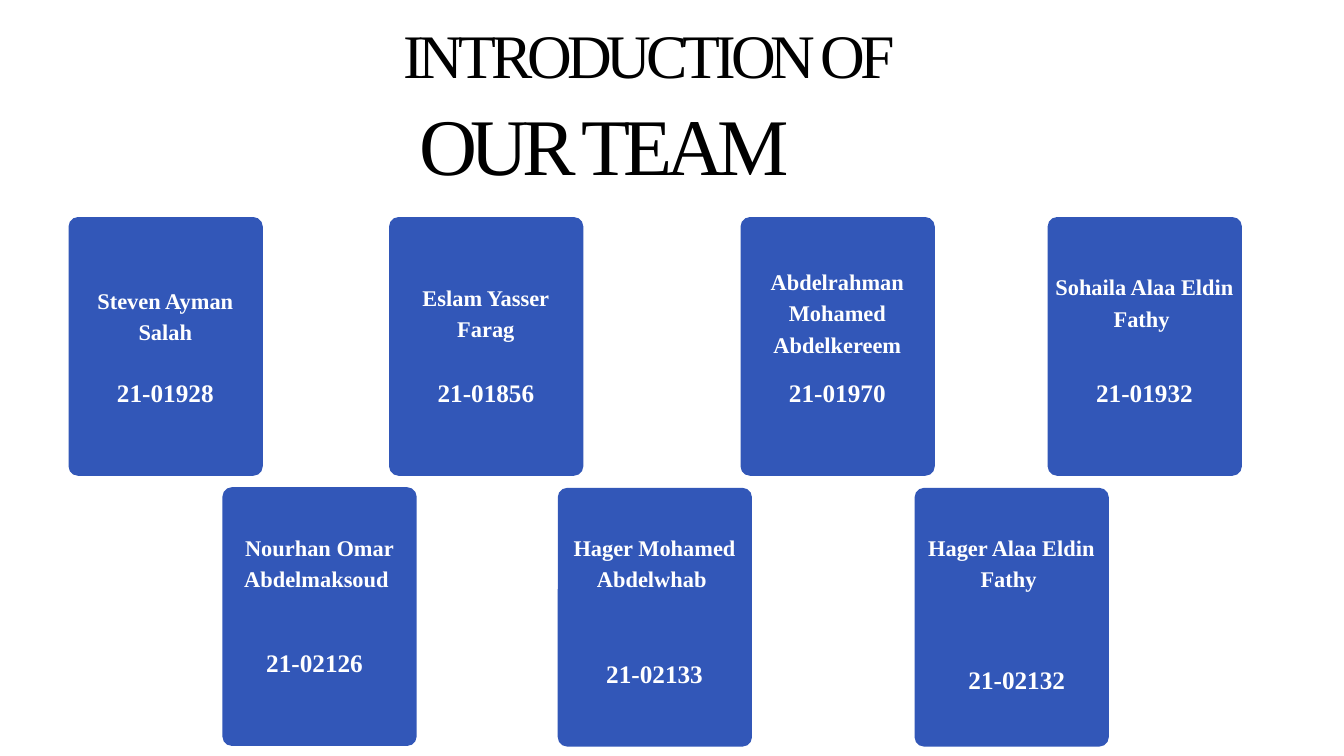
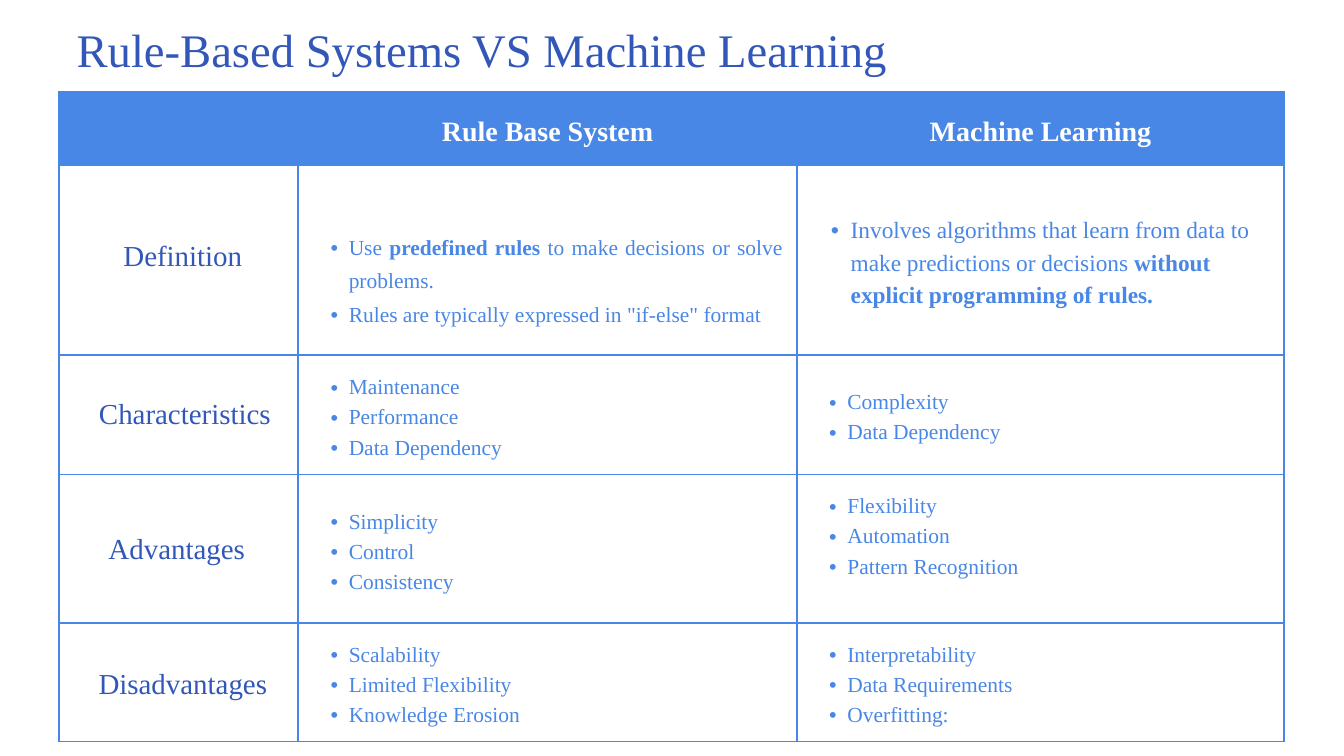
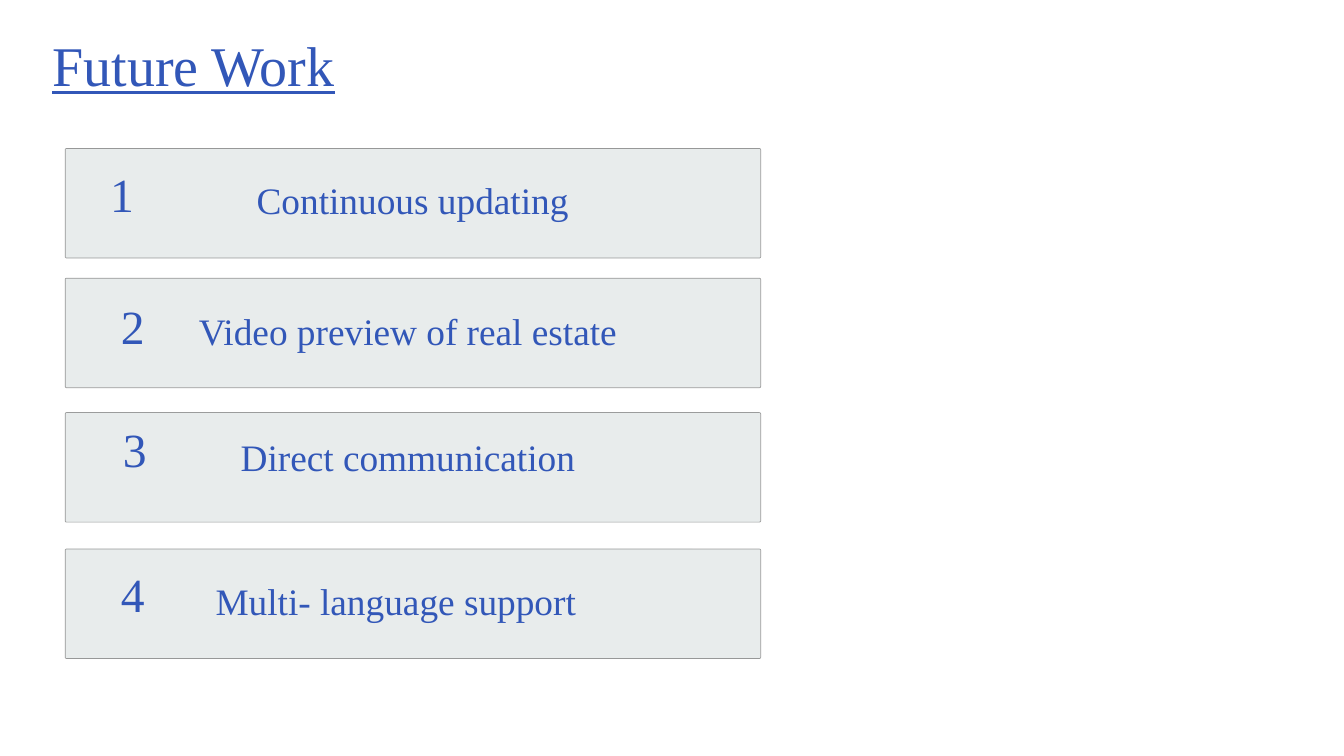
from lxml import etree
from pptx import Presentation
from pptx import util as u
from pptx.dml.color import RGBColor
from pptx.enum import shapes, text
from pptx.oxml import ns

SLIDE_WIDTH, SLIDE_HEIGHT = u.Inches(20), u.Inches(11.25)
COLUMN = SLIDE_WIDTH / 20
ROW = SLIDE_HEIGHT / 11.25
FONT = "Times New Roman"
COLORS = {
    "black": "000000",
    "white": "FFFFFF",
    "blue": "3257B8",
    "light_blue": "4987E6",
    "bar": "CDD7D6",
    "bar_line": "303030",
}
CENTER, LEFT, JUSTIFY = text.PP_ALIGN.CENTER, text.PP_ALIGN.LEFT, text.PP_ALIGN.JUSTIFY

CARD_WIDTH, CARD_HEIGHT = 2.89, 3.85
# Card left and top, name lines, name offset down, number, number offset right and down
TEAM = [
    (1.02, 3.23, ["Steven Ayman Salah"], 0.97, "21-01928", 0.11, 2.31),
    (5.79, 3.23, ["Eslam Yasser", "Farag"], 0.93, "21-01856", 0.11, 2.31),
    (11.02, 3.23, ["Abdelrahman Mohamed Abdelkereem"], 0.69, "21-01970", 0.11, 2.31),
    (15.59, 3.23, ["Sohaila Alaa Eldin Fathy "], 0.77, "21-01932", 0.11, 2.31),
    (3.31, 7.25, ["Nourhan Omar Abdelmaksoud "], 0.63, "21-02126", 0.04, 2.31),
    (8.3, 7.26, ["Hager Mohamed", "Abdelwhab "], 0.62, "21-02133", 0.11, 2.46),
    (13.61, 7.26, ["Hager Alaa Eldin Fathy "], 0.62, "21-02132", 0.19, 2.55),
]

TABLE_COLUMNS = [3.56, 7.42, 7.25]
TABLE_ROWS = [1.08, 2.83, 1.78, 2.21, 1.68]
CELL_MARGIN = 0.21
HEADERS = ["", "Rule Base System", "Machine Learning"]
DEFINITIONS = [
    [
        [("Use ", False), ("predefined rules", True),
         (" to make decisions or solve problems.", False)],
        'Rules are typically expressed in "if-else" format',
    ],
    [
        [("Involves algorithms that learn from data to make predictions or decisions ", False),
         ("without explicit programming of rules.", True)],
    ],
]
COMPARISONS = [
    (["Maintenance", "Performance", "Data Dependency"],
     ["Complexity", "Data Dependency"]),
    (["Simplicity", "Control", "Consistency"],
     ["Flexibility", "Automation", "Pattern Recognition"]),
    (["Scalability", "Limited Flexibility", "Knowledge Erosion"],
     ["Interpretability", "Data Requirements", "Overfitting:"]),
]
ROW_LABELS = [
    ("Definition", 1.77, 3.51, 1.9),
    ("Characteristics", 1.39, 5.86, 2.72),
    ("Advantages", 1.56, 7.88, 2.14),
    ("Disadvantages", 1.39, 9.89, 2.66),
]

# Bar top, number offset right and down, wording, wording left and offset down
FUTURE_STEPS = [
    (2.21, 0.22, 0.37, " Continuous updating", 2.14, 0.32),
    (4.14, 0.38, 0.41, "Video preview of real estate ", 2.21, 0.33),
    (6.14, 0.41, 0.24, " Direct communication ", 2.14, 0.21),
    (8.17, 0.38, 0.37, "Multi- language support", 1.96, 0.32),
]


def color(name):
    return RGBColor.from_string(COLORS[name])


def grid(left, top, width, height):
    """Turn columns and rows into slide lengths."""
    return [round(value * unit) for value, unit in
            zip((left, top, width, height), (COLUMN, ROW, COLUMN, ROW))]


def add_bullet(paragraph, indent):
    paragraph.level = 1
    properties = paragraph._p.get_or_add_pPr()
    properties.set("marL", str(u.Inches(indent)))
    properties.set("indent", str(-u.Inches(indent / 2)))
    etree.SubElement(properties, ns.qn("a:buFont"), typeface="Arial")
    etree.SubElement(properties, ns.qn("a:buChar"), char="•")


def write_text(frame, paragraphs, size, line, fill="blue", bold=False, underline=None,
               align=CENTER, tracking=None, bullet_indent=None):
    """Fill a frame; a paragraph is a string or a list of (text, bold) runs."""
    for index, content in enumerate(paragraphs):
        paragraph = frame.add_paragraph() if index else frame.paragraphs[0]
        if bullet_indent:
            add_bullet(paragraph, bullet_indent)
        paragraph.alignment = align
        paragraph.line_spacing = u.Pt(line)
        for words, is_bold in [(content, bold)] if isinstance(content, str) else content:
            run = paragraph.add_run()
            run.text = words
            font = run.font
            font.name, font.size, font.bold = FONT, u.Pt(size), is_bold
            font.underline = underline
            font.color.rgb = color(fill)
            if tracking:
                run._r.get_or_add_rPr().set("spc", str(round(tracking * 100)))


def format_frame(frame):
    frame.margin_left = frame.margin_right = frame.margin_top = frame.margin_bottom = 0
    frame.vertical_anchor = text.MSO_ANCHOR.TOP
    frame.word_wrap = True
    frame.auto_size = text.MSO_AUTO_SIZE.SHAPE_TO_FIT_TEXT


def add_text(container, place, paragraphs, **style):
    frame = container.add_textbox(*grid(*place)).text_frame
    format_frame(frame)
    write_text(frame, paragraphs, **style)


def add_titled_slide(presentation, title, place, **style):
    slide = presentation.slides.add_slide(presentation.slide_layouts[5])
    shape = slide.shapes.title
    shape.left, shape.top, shape.width, shape.height = grid(*place)
    format_frame(shape.text_frame)
    write_text(shape.text_frame, [title], **style)
    return slide


def add_rounded(container, place, fill, radius, line=None, opacity=None):
    shape = container.add_shape(shapes.MSO_SHAPE.ROUNDED_RECTANGLE, *grid(*place))
    shape.adjustments[0] = radius / min(place[2:])
    shape.shadow.inherit = False
    shape.fill.solid()
    shape.fill.fore_color.rgb = color(fill)
    if line:
        shape.line.color.rgb = color(line)
        shape.line.width = u.Pt(0.75)
    else:
        shape.line.fill.background()
    if opacity:
        for element in shape._element.spPr.iter(ns.qn("a:srgbClr")):
            etree.SubElement(element, ns.qn("a:alpha"), val=str(opacity * 1000))


def add_card(slide, left, top, name, name_down, number, number_right, number_down):
    card = slide.shapes.add_group_shape().shapes
    add_rounded(card, (left, top, CARD_WIDTH, CARD_HEIGHT), "blue", 0.14)
    add_text(card, (left + 0.11, top + name_down, 2.66, 1.39), name,
             size=24, line=33.6, fill="white", bold=True)
    add_text(card, (left + number_right, top + number_down, 2.66, 0.53), [number],
             size=27, line=37.8, fill="white", bold=True)


def format_cell(cell, fill=None):
    cell.vertical_anchor = text.MSO_ANCHOR.MIDDLE
    cell.margin_left = cell.margin_right = u.Inches(CELL_MARGIN)
    cell.margin_top = cell.margin_bottom = u.Inches(CELL_MARGIN)
    if fill:
        cell.fill.solid()
        cell.fill.fore_color.rgb = color(fill)
    else:
        cell.fill.background()
    properties = cell._tc.get_or_add_tcPr()
    for index, side in enumerate("LRTB"):
        border = etree.Element(ns.qn(f"a:ln{side}"), w=str(u.Pt(2.25)))
        solid = etree.SubElement(border, ns.qn("a:solidFill"))
        etree.SubElement(solid, ns.qn("a:srgbClr"), val=COLORS["light_blue"])
        properties.insert(index, border)


def add_comparison_table(slide):
    place = (0.88, 1.37, sum(TABLE_COLUMNS), sum(TABLE_ROWS))
    table = slide.shapes.add_table(len(TABLE_ROWS), len(TABLE_COLUMNS), *grid(*place)).table
    table.first_row = table.horz_banding = False
    for column, width in zip(table.columns, TABLE_COLUMNS):
        column.width = round(width * COLUMN)
    for index, (row, height) in enumerate(zip(table.rows, TABLE_ROWS)):
        row.height = round(height * ROW)
        for cell in row.cells:
            format_cell(cell, None if index else "light_blue")

    for column, header in enumerate(HEADERS):
        if header:
            write_text(table.cell(0, column).text_frame, [header],
                       size=30, line=42, fill="white", bold=True)
    rules, learning = DEFINITIONS
    write_text(table.cell(1, 1).text_frame, rules, size=23, line=35.9,
               fill="light_blue", align=JUSTIFY, bullet_indent=0.54)
    write_text(table.cell(1, 2).text_frame, learning, size=25, line=35,
               fill="light_blue", align=LEFT, bullet_indent=0.59)
    for row, lists in enumerate(COMPARISONS, start=2):
        for column, items in enumerate(lists, start=1):
            write_text(table.cell(row, column).text_frame, items, size=23, line=32.2,
                       fill="light_blue", align=LEFT, bullet_indent=0.54)
    # These two cells hold their text off the middle by one line
    table.cell(1, 1).margin_top = u.Inches(CELL_MARGIN + 0.5)
    table.cell(3, 2).margin_bottom = u.Inches(CELL_MARGIN + 0.45)


def add_step(slide, number, top, number_right, number_down, words, words_left, words_down):
    left = 0.97
    add_rounded(slide.shapes, (left, top, 10.35, 1.63), "bar", 0.02, "bar_line", 45)
    add_text(slide.shapes, (left + number_right, top + number_down, 1.25, 0.87),
             [str(number)], size=51, line=52)
    add_text(slide.shapes, (words_left, top + words_down, 7.86, 0.83),
             [words], size=40, line=56)


def build_team_slide(presentation):
    slide = add_titled_slide(presentation, "INTRODUCTION OF", (5.02, 0.7, 9.28, 0.91),
                             size=66.3, line=47.1, fill="black", tracking=-5.4)
    add_text(slide.shapes, (6.24, 2, 8.43, 1.18), ["OUR TEAM"],
             size=86, line=61, fill="black", align=LEFT, tracking=-7)
    for member in TEAM:
        add_card(slide, *member)


def build_comparison_slide(presentation):
    slide = add_titled_slide(presentation, "Rule-Based Systems VS Machine Learning",
                             (0.88, 0.28, 12.59, 0.97), size=50, line=62.4)
    add_comparison_table(slide)
    for label, left, top, width in ROW_LABELS:
        add_text(slide.shapes, (left, top, width, 0.59), [label], size=31, line=38.7)


def build_future_slide(presentation):
    slide = add_titled_slide(presentation, "Future Work", (-0.38, 0.57, 6.52, 1.04),
                             size=60, line=63.4, underline=True)
    for number, step in enumerate(FUTURE_STEPS, start=1):
        add_step(slide, number, *step)


def main():
    presentation = Presentation()
    presentation.slide_width, presentation.slide_height = SLIDE_WIDTH, SLIDE_HEIGHT
    build_team_slide(presentation)
    build_comparison_slide(presentation)
    build_future_slide(presentation)
    presentation.save("out.pptx")


if __name__ == "__main__":
    main()
